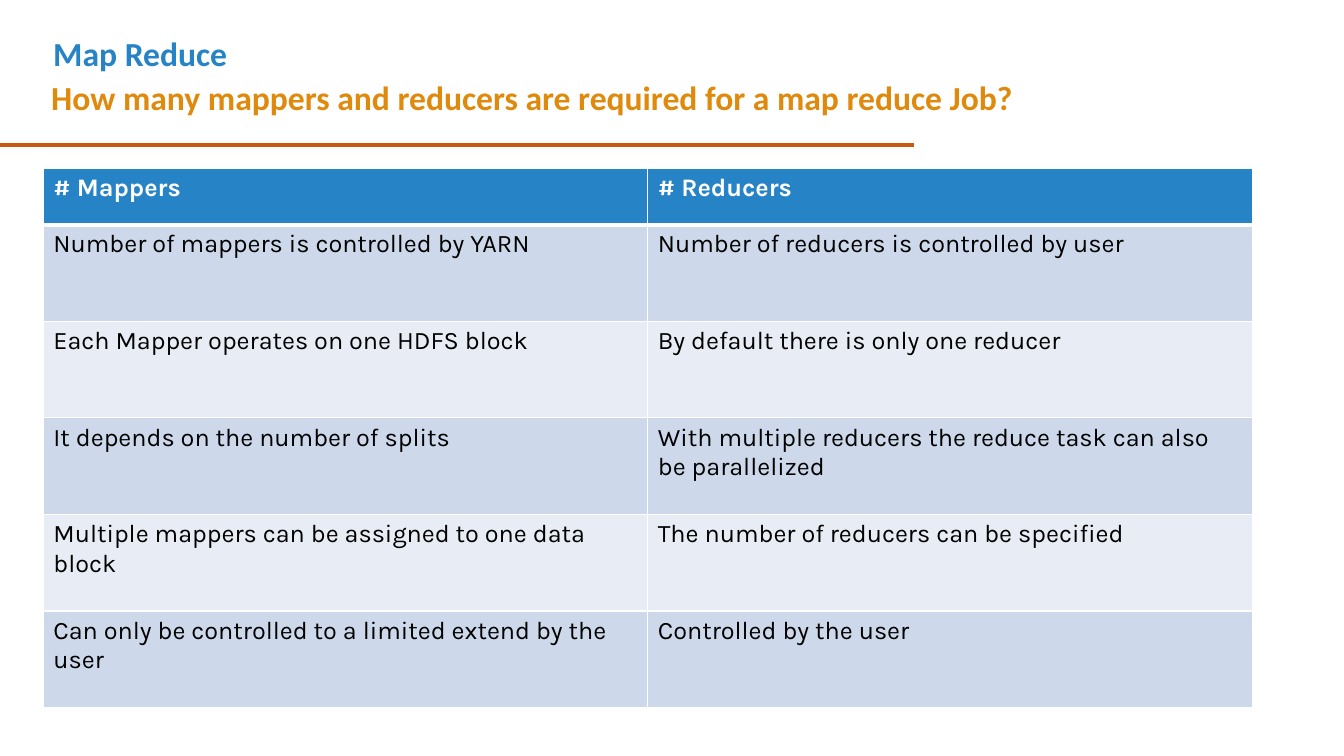
from lxml import etree
from pptx import Presentation
from pptx.dml.color import RGBColor
from pptx.enum.shapes import MSO_CONNECTOR
from pptx.enum.text import MSO_AUTO_SIZE
from pptx.oxml.ns import qn
from pptx.util import Inches, Pt

STRAIGHT = MSO_CONNECTOR.STRAIGHT
GROW = MSO_AUTO_SIZE.SHAPE_TO_FIT_TEXT

COLORS = {
    "blue": "2683C6", "gold": "DF8A0C", "rust": "C55A11",
    "white": "FFFFFF", "black": "000000",
    "odd": "CDD9EA", "even": "E8EDF5",
}
HEAD = {"name": "Calibri", "size": Pt(24), "bold": True}
BODY = {"name": "Karla", "size": Pt(18)}

ROWS = [
    ("# Mappers", "# Reducers"),
    ("Number of mappers is controlled by YARN",
     "Number of reducers is controlled by user"),
    ("Each Mapper operates on one HDFS block",
     "By default there is only one reducer"),
    ("It depends on the number of splits",
     "With multiple reducers the reduce task can also be parallelized"),
    ("Multiple mappers can be assigned to one data block",
     "The number of reducers can be specified"),
    ("Can only be controlled to a limited extend by the user",
     "Controlled by the user"),
]


def color(name):
    return RGBColor.from_string(COLORS[name])


def write(frame, text, tint, style):
    run = frame.paragraphs[0].add_run()
    run.text = text
    for key, value in style.items():
        setattr(run.font, key, value)
    run.font.color.rgb = color(tint)


def add_label(slide, box, text, tint):
    frame = slide.shapes.add_textbox(*map(Inches, box)).text_frame
    frame.word_wrap = True
    frame.auto_size = GROW
    write(frame, text, tint, HEAD)


def add_header(slide, left, top):
    # Title, question and the rule below them
    add_label(slide, (left + 0.02, top, 8.2, 0.5), "Map Reduce", "blue")
    add_label(slide, (left, top + 0.43, 10.39, 0.5),
              "How many mappers and reducers are required for a map reduce Job?",
              "gold")
    y = Inches(top + 1.16)
    rule = slide.shapes.add_connector(STRAIGHT, Inches(-0.01), y, Inches(9.07), y)
    rule.line.color.rgb = color("rust")
    rule.line.width = Pt(3)
    etree.SubElement(rule._element.spPr, qn("a:effectLst"))


def add_edges(cell, widths):
    props = cell._tc.get_or_add_tcPr()
    for side, width in zip("LRTB", widths):
        edge = etree.SubElement(props, qn(f"a:ln{side}"), w=str(Pt(width)))
        fill = etree.SubElement(edge, qn("a:solidFill"))
        etree.SubElement(fill, qn("a:srgbClr"), val=COLORS["white"])


def add_grid(slide, left, top, width, height, head=0.56):
    # Comparison table: one header row, then equal banded rows
    count, cols = len(ROWS), len(ROWS[0])
    table = slide.shapes.add_table(
        count, cols, *map(Inches, (left, top, width, height))).table
    for col in table.columns:
        col.width = Inches(width / cols)
    for i, (row, texts) in enumerate(zip(table.rows, ROWS)):
        first = i == 0
        row.height = Inches(head if first else (height - head) / (count - 1))
        band = "blue" if first else ("odd" if i % 2 else "even")
        for cell, text in zip(row.cells, texts):
            add_edges(cell, (1, 1, 3 if i == 1 else 1, 3 if first else 1))
            cell.fill.solid()
            cell.fill.fore_color.rgb = color(band)
            write(cell.text_frame, text, "white" if first else "black",
                  {**BODY, "bold": first})


def main():
    deck = Presentation()
    deck.slide_width, deck.slide_height = Inches(13.33), Inches(7.5)
    slide = deck.slides.add_slide(deck.slide_layouts[6])
    add_header(slide, 0.41, 0.28)
    add_grid(slide, 0.43, 1.67, 11.99, 5.35)
    deck.save("out.pptx")


if __name__ == "__main__":
    main()
